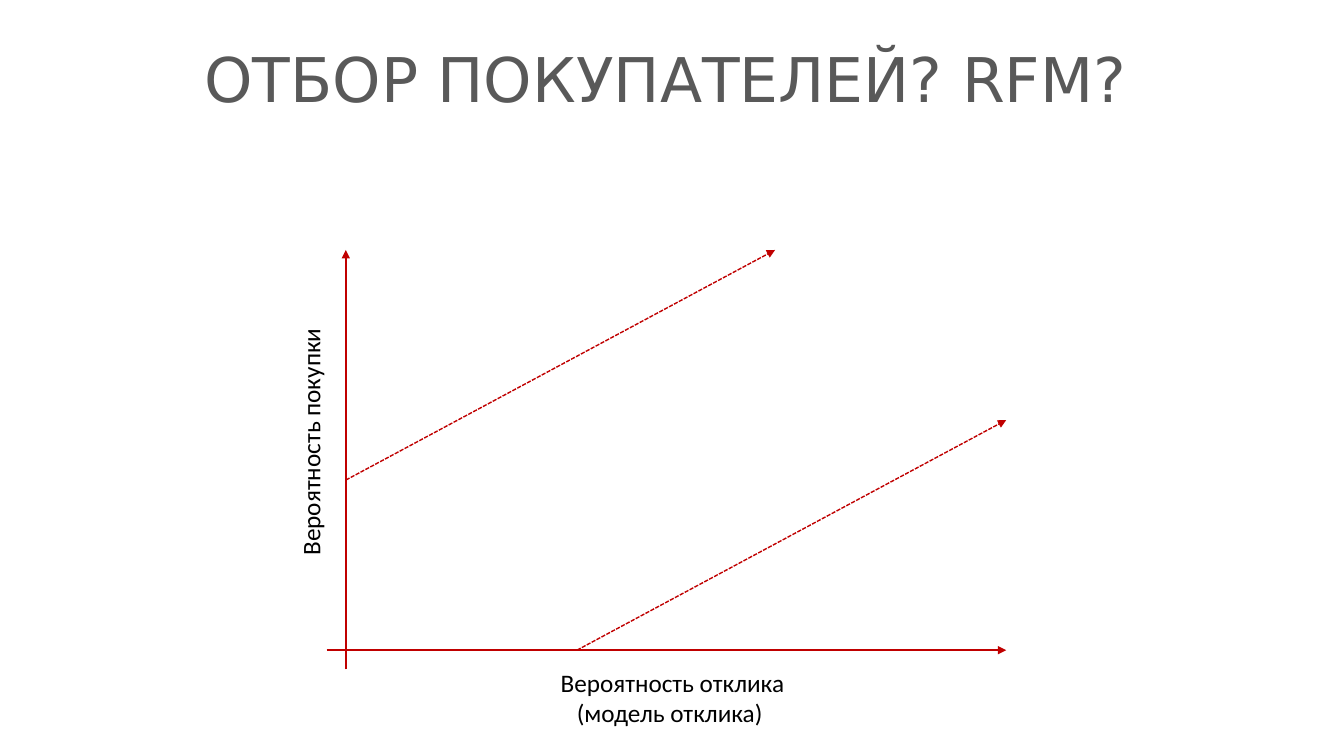
import collections
import dataclasses

import lxml.etree
import pptx
import pptx.dml.color
import pptx.enum.dml
import pptx.enum.shapes
import pptx.enum.text
import pptx.oxml.ns
import pptx.util

Box = collections.namedtuple("Box", "left top width height")
ALIGN = pptx.enum.text.PP_ALIGN


@dataclasses.dataclass(frozen=True)
class Theme:
    """Colours, fonts and sizes of the slide."""

    title_color: str = "595959"
    text_color: str = "000000"
    line_color: str = "C00000"
    title_font: str = "DejaVu Sans"
    text_font: str = "Calibri"
    title_size: int = 44
    text_size: int = 18
    line_width: int = 1


THEME = Theme()


def place(shape, box):
    """Move a shape to a box given in inches."""
    shape.left, shape.top, shape.width, shape.height = map(pptx.util.Inches, box)


def add_span(para, text, font, size, color):
    """Add one formatted run to a paragraph."""
    span = para.add_run()
    span.text = text
    span.font.name = font
    span.font.size = pptx.util.Pt(size)
    span.font.color.rgb = pptx.dml.color.RGBColor.from_string(color)


def add_title(page, box, text):
    """Fill the title placeholder inside the box."""
    title = page.shapes.title
    place(title, box)
    frame = title.text_frame
    frame.word_wrap = True
    frame.auto_size = pptx.enum.text.MSO_AUTO_SIZE.NONE
    frame.vertical_anchor = pptx.enum.text.MSO_ANCHOR.TOP
    para = frame.paragraphs[0]
    para.alignment = ALIGN.CENTER
    para.line_spacing = 0.9
    add_span(para, text, THEME.title_font, THEME.title_size, THEME.title_color)


def add_label(page, box, text, align, rotation=0):
    """Add an axis label that fits its text."""
    label = page.shapes.add_textbox(*map(pptx.util.Inches, box))
    label.rotation = rotation
    frame = label.text_frame
    frame.word_wrap = True
    frame.auto_size = pptx.enum.text.MSO_AUTO_SIZE.SHAPE_TO_FIT_TEXT
    para = frame.paragraphs[0]
    para.alignment = align
    add_span(para, text, THEME.text_font, THEME.text_size, THEME.text_color)


def add_arrow(page, start, end, dashed=False):
    """Draw a straight arrow between two points."""
    points = map(pptx.util.Inches, (*start, *end))
    arrow = page.shapes.add_connector(
        pptx.enum.shapes.MSO_CONNECTOR.STRAIGHT, *points)
    arrow.line.width = pptx.util.Pt(THEME.line_width)
    arrow.line.color.rgb = pptx.dml.color.RGBColor.from_string(THEME.line_color)
    if dashed:
        arrow.line.dash_style = pptx.enum.dml.MSO_LINE.SQUARE_DOT
    qualify = pptx.oxml.ns.qn
    properties = arrow.line._get_or_add_ln()
    lxml.etree.SubElement(properties, qualify("a:tailEnd"), type="triangle")
    lxml.etree.SubElement(arrow._element.spPr, qualify("a:effectLst"))


def add_axes(page, box):
    """Draw the labelled axes and the band between two parallel arrows."""
    left, top, width, height = box
    right, bottom = left + width, top + height
    overhang = 0.19
    run, rise = width * 0.65, height * 0.575
    add_arrow(page, (left - overhang, bottom), (right, bottom))
    add_arrow(page, (left, bottom + overhang), (left, top))
    add_label(page, Box(left + 2.02, bottom + 0.12, 2.44, 0.71),
              "Вероятность отклика (модель отклика) ", ALIGN.CENTER)
    add_label(page, Box(left - 1.68, top + 1.6, 2.66, 0.4),
              "Вероятность покупки", ALIGN.LEFT, rotation=270)
    add_arrow(page, (left, top + rise), (left + run, top), dashed=True)
    add_arrow(page, (right - run, bottom), (right, bottom - rise), dashed=True)


def main():
    """Build and save the deck."""
    deck = pptx.Presentation()
    deck.slide_width = pptx.util.Inches(13.33)
    deck.slide_height = pptx.util.Inches(7.5)
    page = deck.slides.add_slide(deck.slide_layouts.get_by_name("Title Only"))
    add_title(page, Box(0.56, 0.44, 12.09, 1.45), "ОТБОР ПОКУПАТЕЛЕЙ? RFM?")
    add_axes(page, Box(3.43, 2.48, 6.55, 3.97))
    deck.save("out.pptx")


if __name__ == "__main__":
    main()
